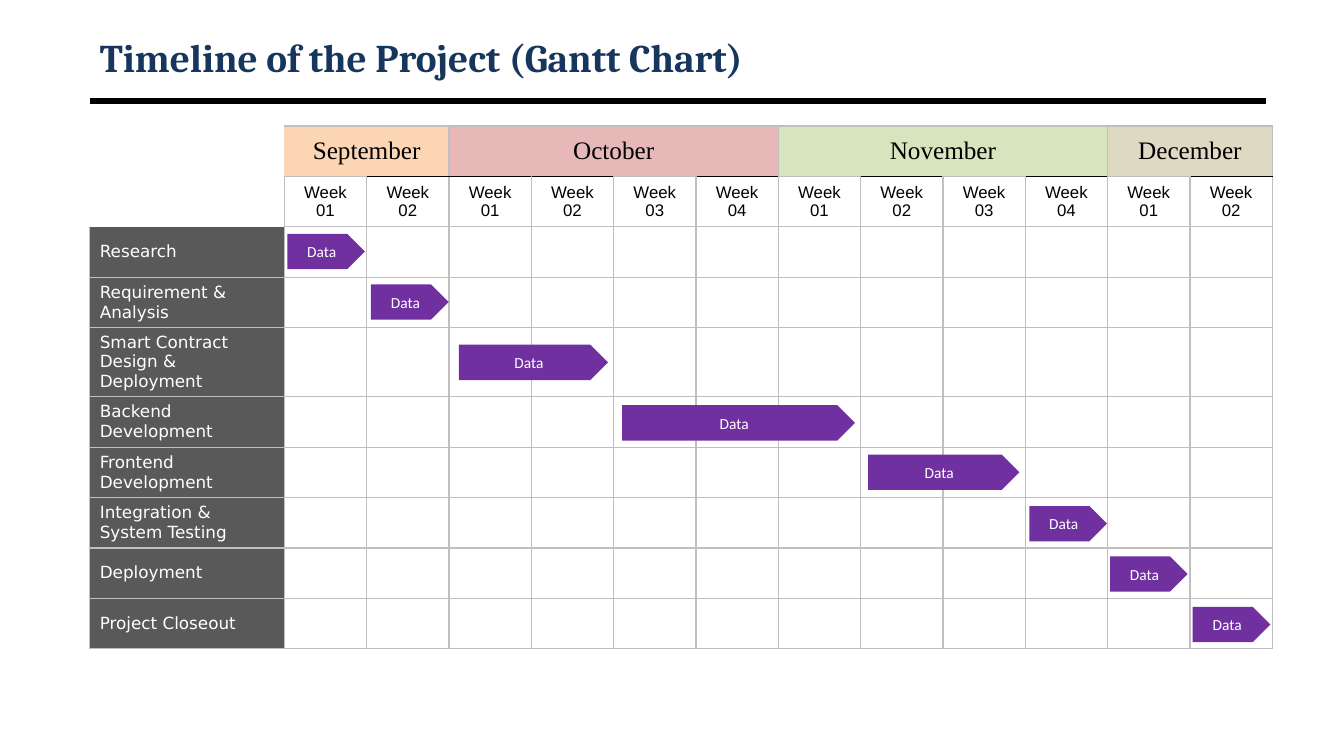
from dataclasses import dataclass

from lxml import etree
from pptx import Presentation
from pptx.dml.color import RGBColor
from pptx.enum.shapes import MSO_CONNECTOR, MSO_SHAPE
from pptx.enum.text import MSO_ANCHOR, MSO_AUTO_SIZE, PP_ALIGN
from pptx.oxml.ns import qn
from pptx.util import Inches, Pt

LEFT, CENTER = PP_ALIGN.LEFT, PP_ALIGN.CENTER
MIDDLE = MSO_ANCHOR.MIDDLE
PENTAGON = MSO_SHAPE.PENTAGON
STRAIGHT = MSO_CONNECTOR.STRAIGHT
NO_AUTOFIT = MSO_AUTO_SIZE.NONE
NO_TABLE_STYLE = "{2D5ABB26-0587-4C30-8999-92F81FD0307C}"


@dataclass(frozen=True)
class TextStyle:
    font: str
    size: float
    color: str
    align: int
    bold: bool = False


@dataclass(frozen=True)
class Theme:
    white: str = "FFFFFF"
    black: str = "000000"
    grid: str = "BFBFBF"
    task: str = "595959"
    bar: str = "7030A0"
    grid_width: float = 1
    rule_width: float = 4.5
    title: TextStyle = TextStyle("Cambria", 28, "17365D", LEFT, True)
    month: TextStyle = TextStyle("Times New Roman", 18, "000000", CENTER)
    week: TextStyle = TextStyle("Arial", 12, "000000", CENTER)
    task_label: TextStyle = TextStyle("DejaVu Sans", 12, "FFFFFF", LEFT)
    bar_label: TextStyle = TextStyle("Calibri", 11, "FFFFFF", CENTER)


THEME = Theme()

# Month, number of weeks, fill
MONTHS = [
    ("September", 2, "FCD5B5"),
    ("October", 4, "E6B9B8"),
    ("November", 4, "D7E4BD"),
    ("December", 2, "DDD9C3"),
]
# Task, then left, top and width of its bar in inches
TASKS = [
    ("Research", 2.85, 2.32, 0.77),
    ("Requirement & Analysis", 3.68, 2.82, 0.77),
    ("Smart Contract Design & Deployment", 4.55, 3.42, 1.48),
    ("Backend Development", 6.17, 4.02, 2.31),
    ("Frontend Development", 8.61, 4.51, 1.5),
    ("Integration & System Testing", 10.21, 5.02, 0.77),
    ("Deployment", 11.01, 5.52, 0.77),
    ("Project Closeout", 11.83, 6.02, 0.77),
]
WEEK_COUNT = sum(weeks for _, weeks, _ in MONTHS)
DARK_TOP_WEEKS = {2, 3, 4, 6, 8, 10, 12}

MARGIN = 0.89
CONTENT_WIDTH = 11.67
TABLE_TOP, TABLE_WIDTH, TABLE_HEIGHT = 1.25, 11.73, 5.2
TASK_WIDTH, ROW_HEIGHT = 1.93, 0.5
BAR_HEIGHT = 0.35


def write(frame, text, style):
    paragraph = frame.paragraphs[0]
    paragraph.alignment = style.align
    run = paragraph.add_run()
    run.text = text
    run.font.name = style.font
    run.font.size = Pt(style.size)
    run.font.bold = style.bold
    run.font.color.rgb = RGBColor.from_string(style.color)


def paint(target, color):
    target.fill.solid()
    target.fill.fore_color.rgb = RGBColor.from_string(color)


def add_title(slide, text):
    title = slide.shapes.title
    title.left, title.top = Inches(MARGIN), Inches(0.3)
    title.width, title.height = Inches(CONTENT_WIDTH), Inches(0.53)
    frame = title.text_frame
    frame.auto_size = NO_AUTOFIT
    frame.word_wrap = True
    frame.vertical_anchor = MIDDLE
    write(frame, text, THEME.title)


def add_title_rule(slide):
    y = Inches(1)
    rule = slide.shapes.add_connector(
        STRAIGHT, Inches(MARGIN), y, Inches(MARGIN + CONTENT_WIDTH), y)
    rule.line.color.rgb = RGBColor.from_string(THEME.black)
    rule.line.width = Pt(THEME.rule_width)
    etree.SubElement(rule._element.spPr, qn("a:effectLst"))


def set_borders(cell, sides):
    """Draw the cell's edges; sides maps L, R, T, B to a colour."""
    properties = cell._tc.get_or_add_tcPr()
    for side in "LRTB":
        if side in sides:
            line = etree.SubElement(properties, qn(f"a:ln{side}"),
                                    w=str(Pt(THEME.grid_width)))
            fill = etree.SubElement(line, qn("a:solidFill"))
            etree.SubElement(fill, qn("a:srgbClr"), val=sides[side])


def format_cell(cell, fill, sides, text="", style=None):
    set_borders(cell, sides)
    paint(cell, fill)
    cell.vertical_anchor = MIDDLE
    if text:
        write(cell.text_frame, text, style)


def grid_sides(letters):
    return dict.fromkeys(letters, THEME.grid)


def fill_calendar(table):
    """Fill the month row and the week row."""
    format_cell(table.cell(0, 0), THEME.white, {})
    format_cell(table.cell(1, 0), THEME.white, grid_sides("R"))
    column = 1
    for month, weeks, color in MONTHS:
        first = table.cell(0, column)
        first.merge(table.cell(0, column + weeks - 1))
        format_cell(first, color, grid_sides("TR" if column == 1 else "LTR"),
                    month, THEME.month)
        for week in range(1, weeks + 1):
            if week > 1:
                format_cell(table.cell(0, column), color, grid_sides("TR"))
            sides = grid_sides("LRTB")
            if column in DARK_TOP_WEEKS:
                sides["T"] = THEME.black
            format_cell(table.cell(1, column), THEME.white, sides,
                        f"Week {week:02}", THEME.week)
            column += 1


def fill_tasks(table):
    for row, (task, *_) in enumerate(TASKS, start=2):
        sides = grid_sides("LRB" if row == 2 else "LRTB")
        format_cell(table.cell(row, 0), THEME.task, sides, task, THEME.task_label)
        for column in range(1, WEEK_COUNT + 1):
            format_cell(table.cell(row, column), THEME.white, grid_sides("LRTB"))


def add_schedule(slide):
    schedule = slide.shapes.add_table(
        len(TASKS) + 2, WEEK_COUNT + 1, Inches(MARGIN), Inches(TABLE_TOP),
        Inches(TABLE_WIDTH), Inches(TABLE_HEIGHT))
    table = schedule.table
    table.first_row = table.horz_banding = False
    table._tbl.tblPr.find(qn("a:tableStyleId")).text = NO_TABLE_STYLE
    for column in table.columns:
        column.width = Inches((TABLE_WIDTH - TASK_WIDTH) / WEEK_COUNT)
    table.columns[0].width = Inches(TASK_WIDTH)
    for row in table.rows:
        row.height = Inches(ROW_HEIGHT)
    schedule.height = Inches(TABLE_HEIGHT)
    fill_calendar(table)
    fill_tasks(table)


def add_bar(slide, left, top, width):
    bar = slide.shapes.add_shape(
        PENTAGON, Inches(left), Inches(top), Inches(width), Inches(BAR_HEIGHT))
    bar.shadow.inherit = False
    paint(bar, THEME.bar)
    bar.line.fill.background()
    bar.text_frame.vertical_anchor = MIDDLE
    write(bar.text_frame, "Data", THEME.bar_label)


def main():
    deck = Presentation()
    deck.slide_width, deck.slide_height = Inches(13.33), Inches(7.5)
    slide = deck.slides.add_slide(deck.slide_layouts.get_by_name("Title Only"))
    add_title_rule(slide)
    add_title(slide, "Timeline of the Project (Gantt Chart)")
    add_schedule(slide)
    for _, left, top, width in TASKS:
        add_bar(slide, left, top, width)
    deck.save("out.pptx")


if __name__ == "__main__":
    main()
